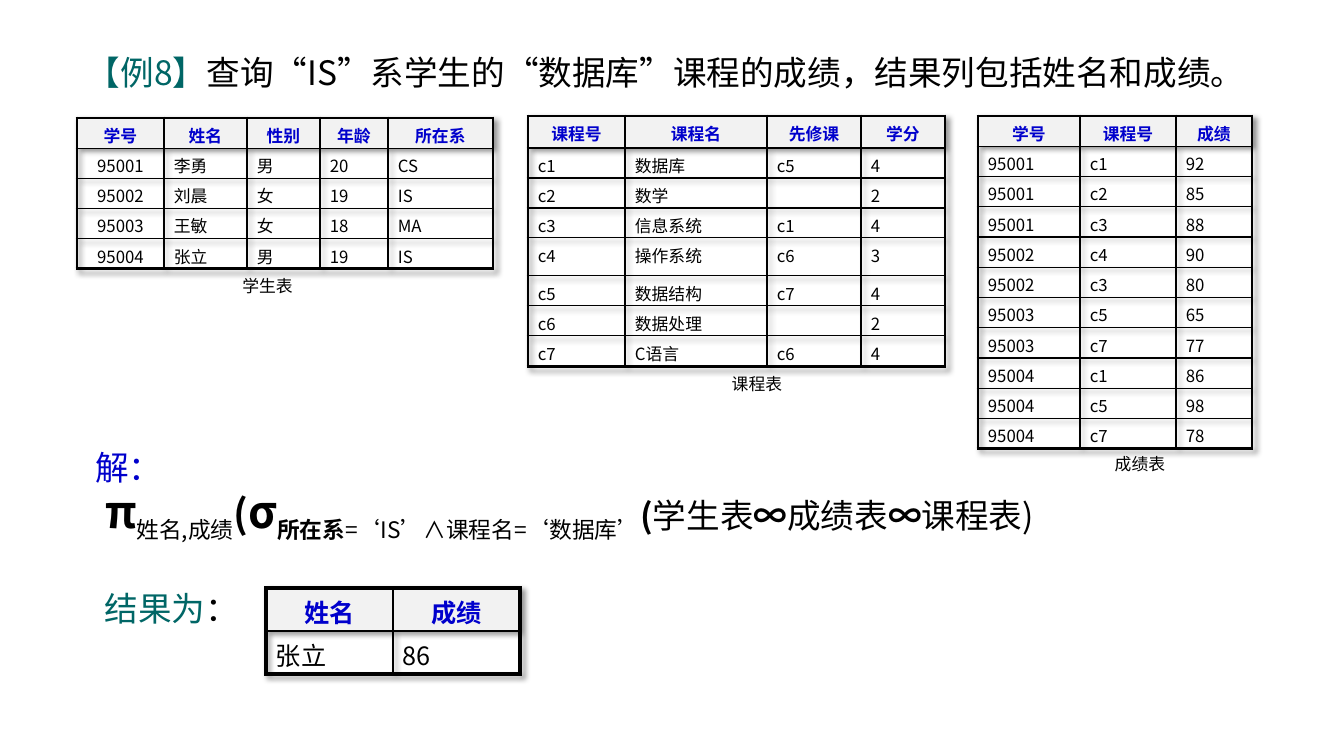
from dataclasses import dataclass

from lxml import etree
from pptx import Presentation
from pptx import util as u
from pptx.dml.color import RGBColor
from pptx.enum import lang, text
from pptx.oxml import parse_xml
from pptx.oxml.ns import nsdecls, qn

EMU_PER_PX = 12192000 / 1344


@dataclass(frozen=True)
class Theme:
    font: str = "Noto Sans CJK SC"
    black: str = "000000"
    blue: str = "0000CC"
    teal: str = "006666"
    header: str = "F2F2F2"
    body: int = 24
    symbol: int = 32
    subscript: int = 28
    small: int = 12
    result: int = 18


THEME = Theme()
CENTER = text.PP_ALIGN.CENTER
LEFT = text.PP_ALIGN.LEFT

STUDENTS = [
    "学号 姓名 性别 年龄 所在系".split(),
    "95001 李勇 男 20 CS".split(),
    "95002 刘晨 女 19 IS".split(),
    "95003 王敏 女 18 MA".split(),
    "95004 张立 男 19 IS".split(),
]
COURSES = [
    ["课程号", "课程名", "先修课", "学分"],
    ["c1", "数据库", "c5", "4"],
    ["c2", "数学", "", "2"],
    ["c3", "信息系统", "c1", "4"],
    ["c4", "操作系统", "c6", "3"],
    ["c5", "数据结构", "c7", "4"],
    ["c6", "数据处理", "", "2"],
    ["c7", "C语言", "c6", "4"],
]
SCORES = [["学号", "课程号", "成绩"]] + [
    row.split() for row in (
        "95001 c1 92", "95001 c2 85", "95001 c3 88", "95002 c4 90", "95002 c3 80",
        "95003 c5 65", "95003 c7 77", "95004 c1 86", "95004 c5 98", "95004 c7 78")
]
RESULT = [["姓名", "成绩"], ["张立", "86"]]


def px(length):
    return u.Emu(round(length * EMU_PER_PX))


def apply(target, **values):
    for name, value in values.items():
        setattr(target, name, value)


def add_run(paragraph, words, size, color=THEME.black, bold=False, baseline=0):
    run = paragraph.add_run()
    run.text = words
    apply(run.font, size=u.Pt(size), bold=bold, name=THEME.font,
          language_id=lang.MSO_LANGUAGE_ID.SIMPLIFIED_CHINESE)
    run.font.color.rgb = RGBColor.from_string(color)
    properties = run._r.get_or_add_rPr()
    etree.SubElement(properties, qn("a:ea")).set("typeface", THEME.font)
    if baseline:
        properties.set("baseline", str(baseline * 1000))


def format_frame(frame, **values):
    apply(frame, **{
        "word_wrap": True, "auto_size": text.MSO_AUTO_SIZE.NONE,
        "vertical_anchor": text.MSO_ANCHOR.TOP,
        "margin_left": px(10), "margin_right": px(10),
        "margin_top": px(5), "margin_bottom": px(5), **values})


def add_box(slide, box, **values):
    frame = slide.shapes.add_textbox(*map(px, box)).text_frame
    format_frame(frame, **values)
    return frame


def add_title(slide, box):
    title = slide.shapes.title
    apply(title, **dict(zip(("left", "top", "width", "height"), map(px, box))))
    format_frame(title.text_frame, margin_top=px(12))
    paragraph = title.text_frame.paragraphs[0]
    apply(paragraph, alignment=LEFT, line_spacing=1.0)
    add_run(paragraph, "【例8】", THEME.body, THEME.teal)
    add_run(paragraph, "查询“IS”系学生的“数据库”课程的成绩，结果列包括姓名和成绩。", THEME.body)


def add_borders(cell, widths):
    properties = cell._tc.get_or_add_tcPr()
    for index, (side, width) in enumerate(widths.items()):
        properties.insert(index, parse_xml(
            f'<a:ln{side} {nsdecls("a")} w="{u.Pt(width)}"><a:solidFill>'
            f'<a:srgbClr val="{THEME.black}"/></a:solidFill></a:ln{side}>'))


def add_shadow(table):
    properties = table._tbl.tblPr
    properties.find(qn("a:tableStyleId")).text = "{2D5ABB26-0587-4C30-8999-92F81FD0307C}"
    properties.insert(0, parse_xml(
        f'<a:effectLst {nsdecls("a")}><a:outerShdw blurRad="50800" dist="38100" '
        f'dir="2700000" algn="tl"><a:srgbClr val="{THEME.black}"><a:alpha val="40000"/>'
        '</a:srgbClr></a:outerShdw></a:effectLst>'))


def add_data_table(slide, box, rows, widths, heights=None, size=THEME.small,
                   outer=2.25, inner=1, centered_columns=()):
    row_count, column_count = len(rows), len(widths)
    table = slide.shapes.add_table(row_count, column_count, *map(px, box)).table
    apply(table, first_row=False, horz_banding=False)
    add_shadow(table)
    heights = heights or [box[3] / row_count] * row_count
    for row, height in zip(table.rows, heights):
        row.height = px(height)
    for column, width in zip(table.columns, widths):
        column.width = px(width)
    for i, values in enumerate(rows):
        for j, value in enumerate(values):
            cell = table.cell(i, j)
            header = i == 0
            apply(cell, margin_left=px(10), margin_right=px(10),
                  margin_top=px(5), margin_bottom=0)
            if header:
                cell.fill.solid()
                cell.fill.fore_color.rgb = RGBColor.from_string(THEME.header)
            else:
                cell.fill.background()
            edges = {"L": j == 0, "R": j == column_count - 1,
                     "T": header, "B": i == row_count - 1}
            add_borders(cell, {side: outer if edge else inner for side, edge in edges.items()})
            paragraph = cell.text_frame.paragraphs[0]
            paragraph.alignment = CENTER if header or j in centered_columns else LEFT
            if value:
                add_run(paragraph, value, size, THEME.blue if header else THEME.black, header)
            else:
                paragraph.font.size = u.Pt(size)


def add_caption(slide, box, words):
    frame = add_box(slide, box, word_wrap=False, vertical_anchor=text.MSO_ANCHOR.MIDDLE)
    frame.paragraphs[0].alignment = CENTER
    add_run(frame.paragraphs[0], words, THEME.small)


def add_answer(slide, box):
    frame = add_box(slide, box)
    heading = frame.paragraphs[0]
    heading.line_spacing = u.Pt(32)
    add_run(heading, "解：", THEME.body, THEME.blue)
    formula = frame.add_paragraph()
    formula.line_spacing = u.Pt(40)
    formula._p.get_or_add_pPr().set("marL", str(px(10)))
    for words, size, bold, baseline in (
            ("π", THEME.symbol, True, 0),
            ("姓名,成绩", THEME.subscript, False, -25),
            ("(", THEME.subscript, True, 0),
            ("σ", THEME.symbol, True, 0),
            ("所在系", THEME.subscript, True, -25),
            ("=‘IS’∧课程名=‘数据库’", THEME.subscript, False, -25),
            ("(", THEME.body, True, 0),
            ("学生表", THEME.body, False, 0),
            ("∞", THEME.body, True, 0),
            ("成绩表", THEME.body, False, 0),
            ("∞", THEME.body, True, 0),
            ("课程表)", THEME.body, False, 0)):
        add_run(formula, words, size, bold=bold, baseline=baseline)


def add_result(slide, box):
    left, top, width, height = box
    label = add_box(slide, (left, top, 158, 50), margin_top=0).paragraphs[0]
    label.alignment = CENTER
    add_run(label, "结果为", THEME.body, THEME.teal)
    add_run(label, "：", THEME.body)
    add_data_table(slide, (left + 173, top, width - 173, height), RESULT, [127, 127],
                   size=THEME.result, outer=3, inner=1.5)


def build_query_slide(presentation):
    slide = presentation.slides.add_slide(presentation.slide_layouts[5])
    add_title(slide, (77, 40, 1235, 120))
    add_data_table(slide, (77, 118, 416, 151), STUDENTS, [87, 83, 73, 68, 105],
                   centered_columns=(0,))
    add_caption(slide, (233, 269, 69, 33), "学生表")
    add_data_table(slide, (528, 116, 417, 251), COURSES, [97, 142, 94, 84],
                   heights=[32, 30, 30, 30, 38, 30, 30, 31])
    add_caption(slide, (721, 371, 72, 26), "课程表")
    add_data_table(slide, (978, 116, 274, 333), SCORES, [102, 96, 76])
    add_caption(slide, (1085, 441, 110, 45), "成绩表")
    add_answer(slide, (85, 437, 1219, 146))
    add_result(slide, (93, 588, 427, 86))


def main():
    presentation = Presentation()
    apply(presentation, slide_width=px(1344), slide_height=px(756))
    build_query_slide(presentation)
    presentation.save("out.pptx")


if __name__ == "__main__":
    main()
